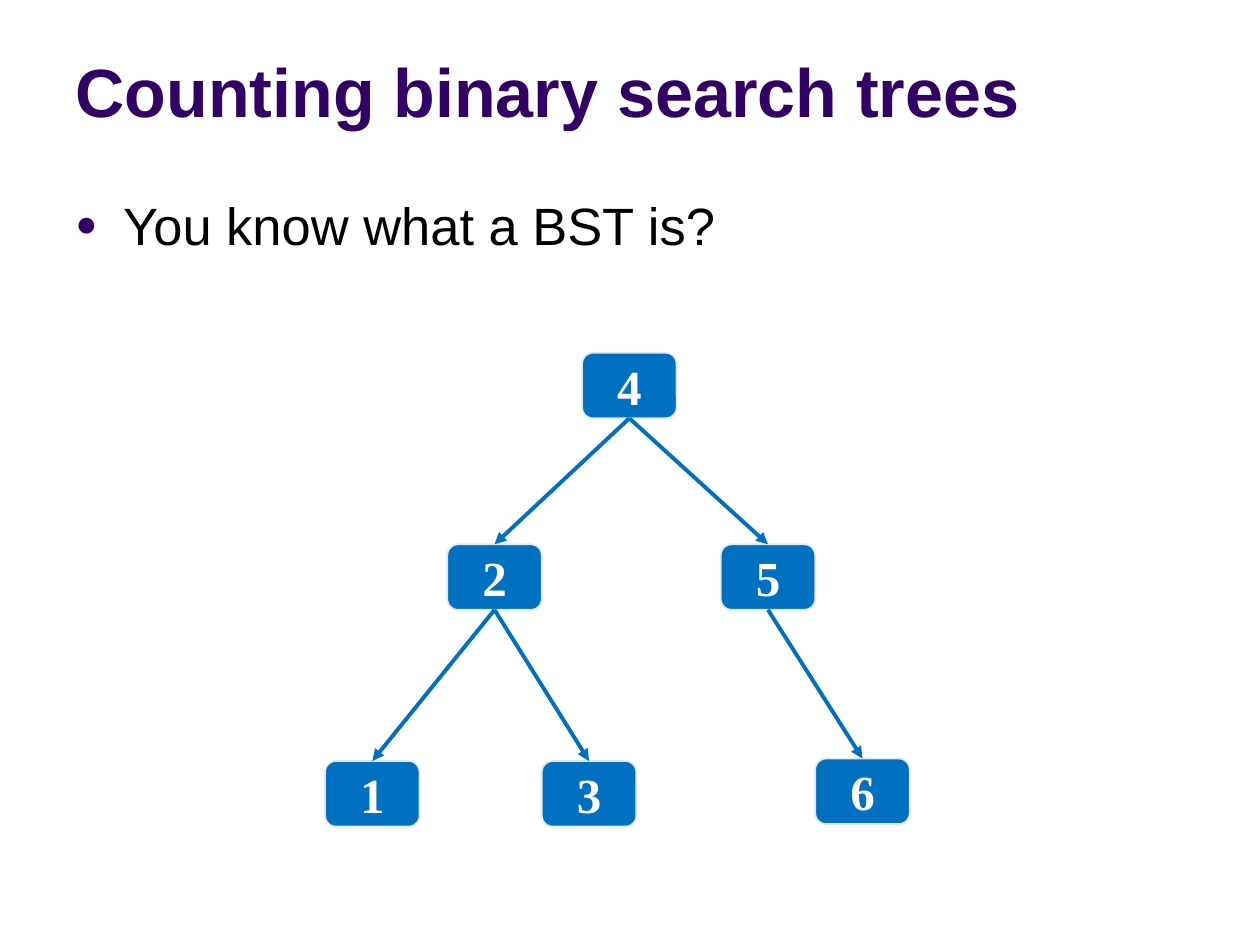
from dataclasses import dataclass

from lxml import etree
from pptx import Presentation
from pptx.dml.color import RGBColor
from pptx.enum.shapes import MSO_CONNECTOR, MSO_SHAPE
from pptx.enum.text import MSO_ANCHOR, MSO_AUTO_SIZE, PP_ALIGN
from pptx.oxml.ns import qn
from pptx.shapes.autoshape import Shape
from pptx.slide import Slide
from pptx.text.text import TextFrame
from pptx.util import Inches, Pt

ROUND = MSO_SHAPE.ROUNDED_RECTANGLE
STRAIGHT = MSO_CONNECTOR.STRAIGHT
TOP, MIDDLE, BOTTOM = MSO_ANCHOR.TOP, MSO_ANCHOR.MIDDLE, MSO_ANCHOR.BOTTOM
LEFT, CENTER = PP_ALIGN.LEFT, PP_ALIGN.CENTER
NO_FIT = MSO_AUTO_SIZE.NONE
SITE_TOP, SITE_BASE = 0, 2


@dataclass(frozen=True)
class Theme:
    purple: str = "330066"
    blue: str = "0070C0"
    black: str = "000000"
    white: str = "FFFFFF"
    edge: str = "E6E6E6"
    sans: str = "Arial"
    serif: str = "Times New Roman"
    title: float = 39
    body: float = 30
    key: float = 28
    rim: float = 1
    arrow: float = 2.25


@dataclass(frozen=True)
class Node:
    key: int
    left: float
    top: float
    kids: tuple[int, ...] = ()


THEME = Theme()
NODE_W, NODE_H = 0.75, 0.52
INDENT = 0.38
TREE = (
    Node(6, 6.47, 6.02),
    Node(3, 4.3, 6.04),
    Node(1, 2.58, 6.04),
    Node(5, 5.72, 4.32, (6,)),
    Node(2, 3.55, 4.32, (1, 3)),
    Node(4, 4.62, 2.8, (2, 5)),
)


def write(frame: TextFrame, text: str, color: str, align: PP_ALIGN,
          anchor: MSO_ANCHOR, font: dict) -> None:
    frame.word_wrap = True
    frame.auto_size = NO_FIT
    frame.vertical_anchor = anchor
    para = frame.paragraphs[0]
    para.alignment = align
    run = para.add_run()
    run.text = text
    for name, value in font.items():
        setattr(run.font, name, value)
    run.font.color.rgb = RGBColor.from_string(color)


def add_title(slide: Slide) -> None:
    title = slide.shapes.title
    place = {"left": 0.5, "top": 0.13, "width": 9, "height": 0.96}
    for name, value in place.items():
        setattr(title, name, Inches(value))
    font = {"name": THEME.sans, "size": Pt(THEME.title), "bold": True}
    write(title.text_frame, "Counting binary search trees", THEME.purple,
          LEFT, BOTTOM, font)


def add_point(slide: Slide) -> None:
    box = slide.shapes.add_textbox(
        Inches(0.5), Inches(1.48), Inches(9), Inches(0.52))
    frame = box.text_frame
    props = frame.paragraphs[0]._p.get_or_add_pPr()
    props.set("marL", str(Inches(INDENT)))
    props.set("indent", str(-Inches(INDENT)))
    tint = etree.SubElement(props, qn("a:buClr"))
    etree.SubElement(tint, qn("a:srgbClr"), val=THEME.purple)
    etree.SubElement(props, qn("a:buSzPct"), val="70000")
    etree.SubElement(props, qn("a:buFont"), typeface=THEME.sans)
    etree.SubElement(props, qn("a:buChar"), char="●")
    font = {"name": THEME.sans, "size": Pt(THEME.body)}
    write(frame, "You know what a BST is?", THEME.black, LEFT, TOP, font)


def add_node(slide: Slide, node: Node) -> Shape:
    box = slide.shapes.add_shape(
        ROUND, Inches(node.left), Inches(node.top),
        Inches(NODE_W), Inches(NODE_H))
    box.shadow.inherit = False
    box.fill.solid()
    box.fill.fore_color.rgb = RGBColor.from_string(THEME.blue)
    box.line.color.rgb = RGBColor.from_string(THEME.edge)
    box.line.width = Pt(THEME.rim)
    font = {"name": THEME.serif, "size": Pt(THEME.key), "bold": True}
    write(box.text_frame, str(node.key), THEME.white, CENTER, MIDDLE, font)
    return box


def add_arrow(slide: Slide, start: Shape, end: Shape) -> None:
    """Join the base of one node to the top of another."""
    link = slide.shapes.add_connector(STRAIGHT, 0, 0, 0, 0)
    link.begin_connect(start, SITE_BASE)
    link.end_connect(end, SITE_TOP)
    link.line.color.rgb = RGBColor.from_string(THEME.blue)
    link.line.width = Pt(THEME.arrow)
    etree.SubElement(link.line._get_or_add_ln(), qn("a:tailEnd"),
                     type="triangle")
    etree.SubElement(link._element.spPr, qn("a:effectLst"))


def main() -> None:
    deck = Presentation()
    deck.slide_width, deck.slide_height = Inches(10), Inches(7.5)
    slide = deck.slides.add_slide(deck.slide_layouts[5])
    add_title(slide)
    add_point(slide)
    boxes = {node.key: add_node(slide, node) for node in TREE}
    for node in reversed(TREE):
        for kid in node.kids:
            add_arrow(slide, boxes[node.key], boxes[kid])
    deck.save("out.pptx")


if __name__ == "__main__":
    main()
